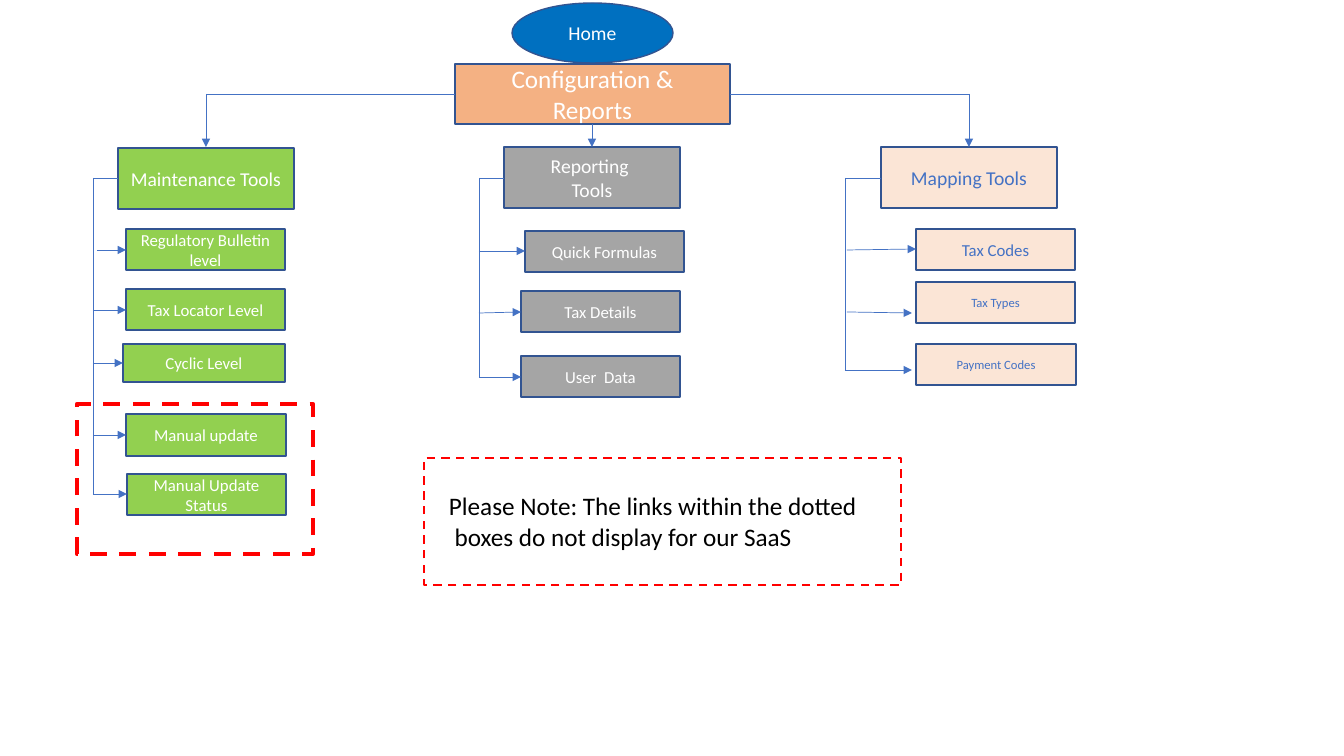
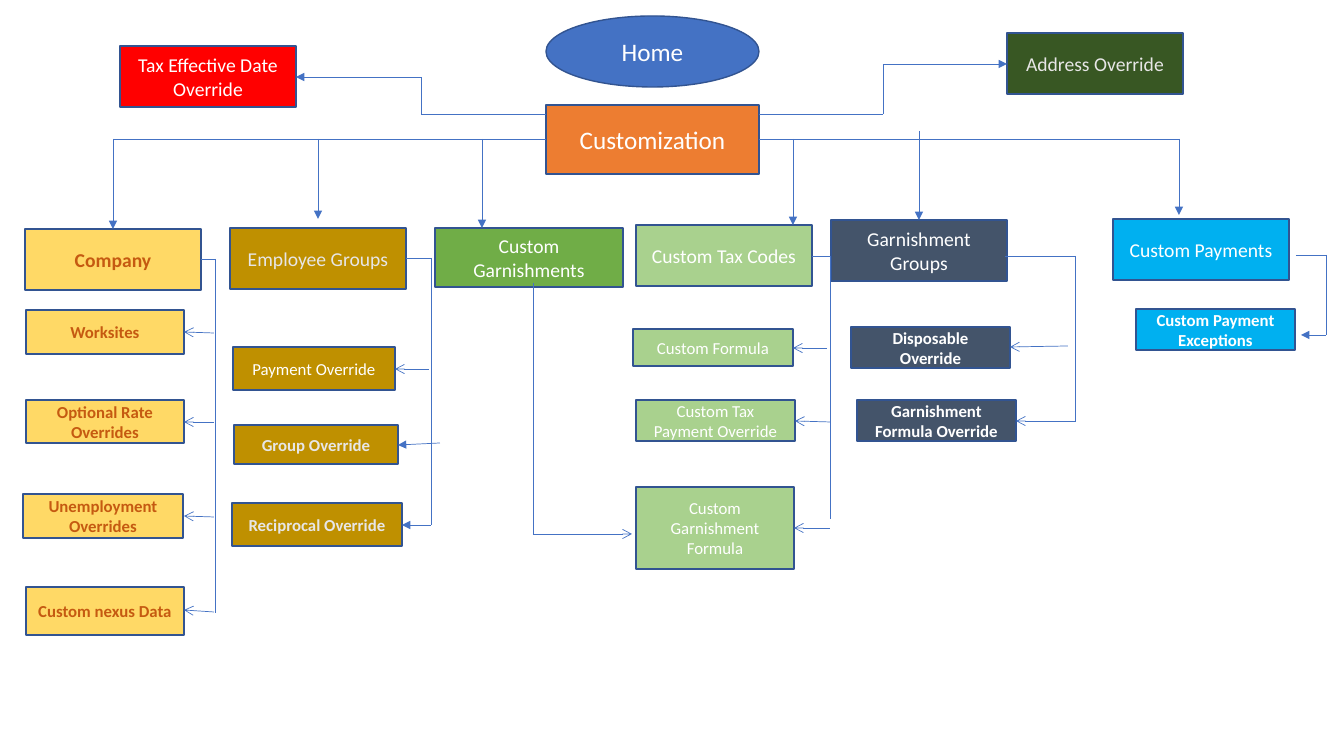
"""Build two site map slides: configuration and reports, and customization."""
from lxml import etree
from pptx import Presentation
from pptx.dml.color import RGBColor
from pptx.enum.dml import MSO_LINE
from pptx.enum.shapes import MSO_CONNECTOR, MSO_SHAPE
from pptx.enum.text import MSO_ANCHOR, PP_ALIGN
from pptx.oxml.ns import qn
from pptx.util import Pt

RECT, OVAL = MSO_SHAPE.RECTANGLE, MSO_SHAPE.OVAL
LEFT, CENTER = PP_ALIGN.LEFT, PP_ALIGN.CENTER
MIDDLE = MSO_ANCHOR.MIDDLE
STRAIGHT = MSO_CONNECTOR.STRAIGHT
DASH = MSO_LINE.DASH
FONT = "Calibri"
SCALE = 914400 / 100.8
COLORS = {
    "white": "FFFFFF", "black": "000000", "mist": "E7E6E6", "gray": "A5A5A5",
    "navy": "325491", "blue": "4472C4", "azure": "0070C0", "sky": "00B0F0",
    "slate": "44546A", "lime": "92D050", "green": "70AD47", "sage": "A9D18E",
    "forest": "385723", "cream": "FBE5D6", "peach": "F4B183",
    "orange": "ED7D31", "rust": "C55A11", "yellow": "FFD966",
    "gold": "BF9000", "red": "FF0000",
}


def box(slide, text, *place, kind=RECT, fill=None, line="navy", width=1,
        dash=None, size=12, ink="white", bold=False, align=CENTER):
    """Draw a box with formatted text; a kind of None gives a text box."""
    spot = [round(n * SCALE) for n in place]
    if kind is None:
        shape = slide.shapes.add_textbox(*spot)
    else:
        shape = slide.shapes.add_shape(kind, *spot)
        shape.shadow.inherit = False
        shape.line.color.rgb = RGBColor.from_string(COLORS[line])
        shape.line.width = Pt(width)
        if dash:
            shape.line.dash_style = dash
    if fill:
        shape.fill.solid()
        shape.fill.fore_color.rgb = RGBColor.from_string(COLORS[fill])
    else:
        shape.fill.background()
    frame = shape.text_frame
    frame.word_wrap = True
    frame.vertical_anchor = MIDDLE
    frame.text = text
    for para in frame.paragraphs:
        para.alignment = align
        for run in para.runs:
            run.font.name = FONT
            run.font.size = Pt(size)
            run.font.bold = bold
            run.font.color.rgb = RGBColor.from_string(COLORS[ink])


def link(slide, points, head="triangle"):
    """Join the points by lines, with an arrowhead at the last one."""
    for start, end in zip(points, points[1:]):
        ends = [round(n * SCALE) for n in (*start, *end)]
        wire = slide.shapes.add_connector(STRAIGHT, *ends)
        wire.line.color.rgb = RGBColor.from_string(COLORS["blue"])
        wire.line.width = Pt(0.5)
        props = wire.element.spPr
        if head and end == points[-1]:
            etree.SubElement(props.find(qn("a:ln")), qn("a:tailEnd"), type=head)
        etree.SubElement(props, qn("a:effectLst"))


config = [
    ("lime", "white", 14, False, [("Maintenance Tools", 118, 148, 176, 61)]),
    ("lime", "white", 12, False, [
        ("Regulatory Bulletin level", 126, 229, 159, 41),
        ("Tax Locator Level", 126, 289, 159, 41),
        ("Cyclic Level", 123, 344, 162, 38),
        ("Manual update", 126, 414, 160, 42),
        ("Manual Update\vStatus", 127, 474, 159, 41),
    ]),
    ("gray", "white", 14, False, [("Reporting \vTools", 504, 147, 176, 61)]),
    ("gray", "white", 12, False, [
        ("Quick Formulas", 525, 231, 159, 41),
        ("Tax Details", 521, 291, 159, 41),
        ("User  Data", 521, 356, 159, 41),
    ]),
    ("cream", "blue", 14, False, [("Mapping Tools", 881, 147, 176, 61)]),
    ("cream", "blue", 12, False, [("Tax Codes", 916, 229, 159, 41)]),
    ("cream", "blue", 9, False, [
        ("Tax Types", 916, 282, 159, 41),
        ("Payment Codes", 916, 344, 160, 41),
    ]),
    ("peach", "white", 18, False,
     [("Configuration &\vReports", 455, 64, 275, 60)]),
]
custom = [
    ("orange", "white", 18, False, [("Customization", 546, 105, 213, 69)]),
    ("red", "white", 14, False,
     [("Tax Effective Date Override", 120, 46, 176, 61)]),
    ("forest", "mist", 14, False, [("Address Override", 1007, 33, 176, 61)]),
    ("yellow", "rust", 14, True, [("Company", 25, 229, 176, 61)]),
    ("yellow", "rust", 12, True, [
        ("Worksites", 26, 310, 158, 44),
        ("Optional Rate Overrides", 26, 400, 158, 43),
        ("Unemployment Overrides", 23, 494, 160, 44),
        ("Custom nexus Data", 26, 587, 158, 48),
    ]),
    ("gold", "mist", 14, False, [("Employee Groups", 230, 228, 176, 61)]),
    ("gold", "white", 12, False, [("Payment Override", 233, 347, 162, 43)]),
    ("gold", "mist", 12, True, [
        ("Group Override", 234, 425, 164, 39),
        ("Reciprocal Override", 232, 503, 170, 43),
    ]),
    ("green", "white", 14, False, [("Custom Garnishments", 435, 228, 188, 59)]),
    ("sage", "white", 14, False, [("Custom Tax Codes", 636, 225, 176, 61)]),
    ("sage", "white", 12, False, [
        ("Custom Formula", 633, 329, 160, 37),
        ("Custom Tax Payment Override", 636, 400, 159, 41),
        ("Custom Garnishment Formula", 636, 487, 158, 82),
    ]),
    ("slate", "white", 14, False, [("Garnishment Groups", 831, 220, 176, 61)]),
    ("slate", "white", 12, True, [
        ("Disposable Override", 851, 327, 159, 41),
        ("Garnishment Formula Override", 857, 400, 159, 41),
    ]),
    ("sky", "white", 14, False, [("Custom Payments", 1113, 219, 176, 61)]),
    ("sky", "white", 12, True,
     [("Custom Payment Exceptions", 1136, 309, 159, 41)]),
]

deck = Presentation()
deck.slide_width = round(1344 * SCALE)
deck.slide_height = round(756 * SCALE)
blank = deck.slide_layouts[6]
first, second = [deck.slides.add_slide(blank) for _ in range(2)]

for slide, groups in ((first, config), (second, custom)):
    for fill, ink, size, bold, rows in groups:
        for row in rows:
            box(slide, *row, fill=fill, ink=ink, size=size, bold=bold)

box(first, "Home", 512, 3, 161, 60, kind=OVAL, fill="azure", size=14)
box(second, "Home", 546, 16, 213, 71, kind=OVAL, fill="blue", size=18)
box(first, "", 77, 404, 236, 150, line="red", width=3, dash=DASH)
box(first, "", 424, 458, 477, 127, line="red", width=1.5, dash=DASH)
box(first, "Please Note: The links within the dotted\n"
    " boxes do not display for our SaaS", 439, 485, 563, 72,
    kind=None, size=18, ink="black", align=LEFT)

for points in (
    [(455, 94), (206, 94), (206, 147)],
    [(592, 124), (592, 147)],
    [(730, 94), (969, 94), (969, 147)],
    [(118, 178), (93, 178), (93, 494), (127, 494)],
    [(97, 250), (126, 250)],
    [(93, 310), (126, 310)],
    [(93, 363), (123, 363)],
    [(93, 435), (126, 435)],
    [(504, 178), (479, 178), (479, 377), (521, 377)],
    [(479, 251), (525, 251)],
    [(479, 313), (521, 312)],
    [(881, 178), (845, 178), (845, 370), (912, 370)],
    [(847, 250), (916, 249)],
    [(847, 312), (912, 313)],
):
    link(first, points)

for points in (
    [(546, 114), (421, 114), (421, 77), (296, 77)],
    [(759, 114), (883, 114), (883, 64), (1007, 64)],
    [(546, 139), (113, 139), (113, 229)],
    [(759, 139), (1179, 139), (1179, 215)],
    [(318, 139), (318, 219)],
    [(482, 139), (482, 228)],
    [(793, 139), (793, 225)],
    [(919, 131), (919, 220)],
    [(406, 258), (431, 258), (431, 525), (402, 525)],
    [(440, 443), (398, 445)],
    [(1296, 255), (1326, 255), (1326, 335), (1301, 335)],
):
    link(second, points)

for points in (
    [(201, 259), (215, 259), (215, 613)],
    [(812, 256), (830, 256), (830, 519)],
    [(1005, 256), (1075, 256), (1075, 422)],
):
    link(second, points, head=None)

for points in (
    [(214, 333), (184, 332)],
    [(214, 422), (184, 422)],
    [(214, 517), (184, 516)],
    [(214, 612), (184, 610)],
    [(429, 369), (395, 369)],
    [(533, 283), (533, 534), (632, 534)],
    [(827, 348), (793, 348)],
    [(830, 422), (795, 421)],
    [(830, 528), (794, 528)],
    [(1068, 346), (1010, 347)],
    [(1075, 421), (1016, 421)],
):
    link(second, points, head="arrow")

deck.save("out.pptx")
